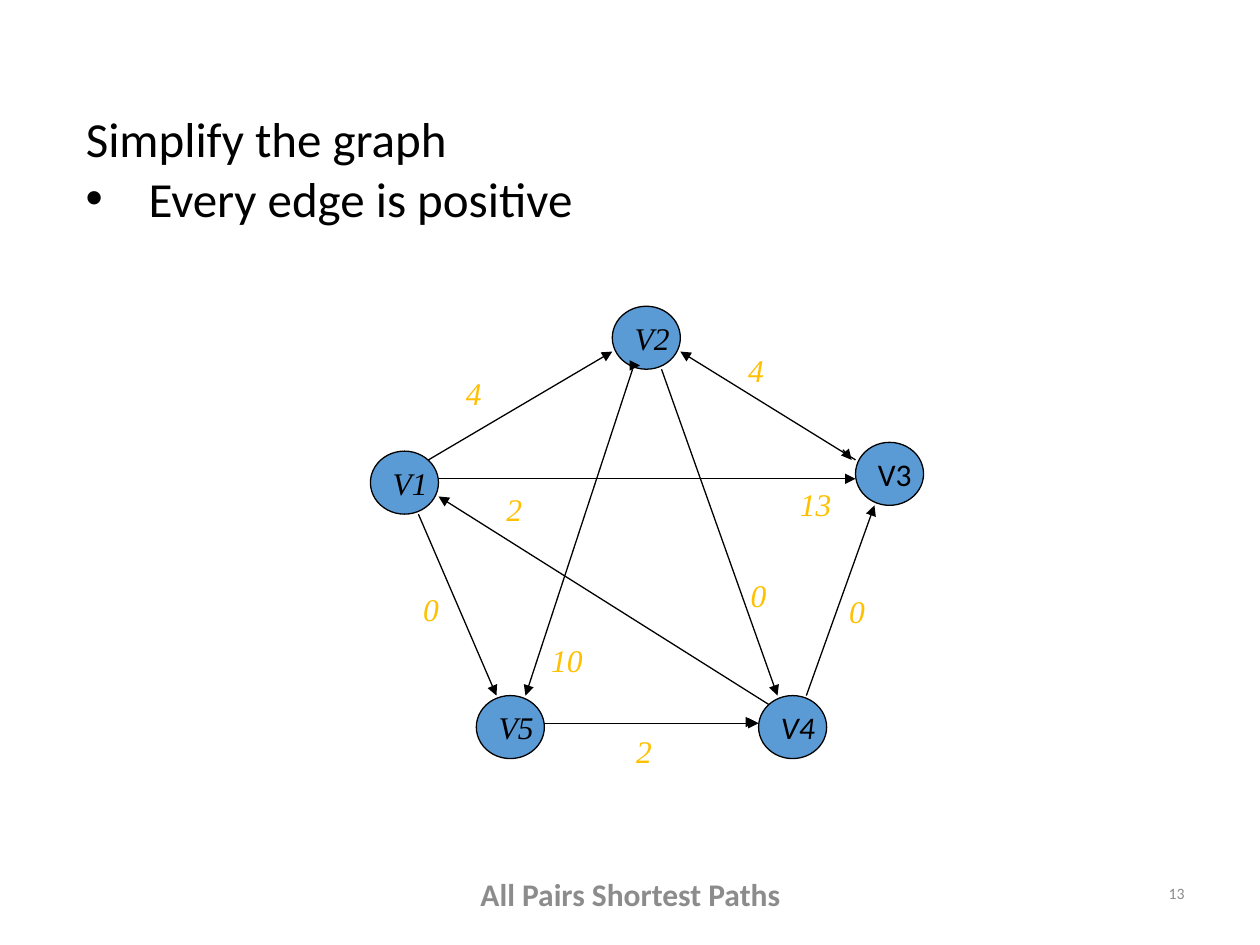
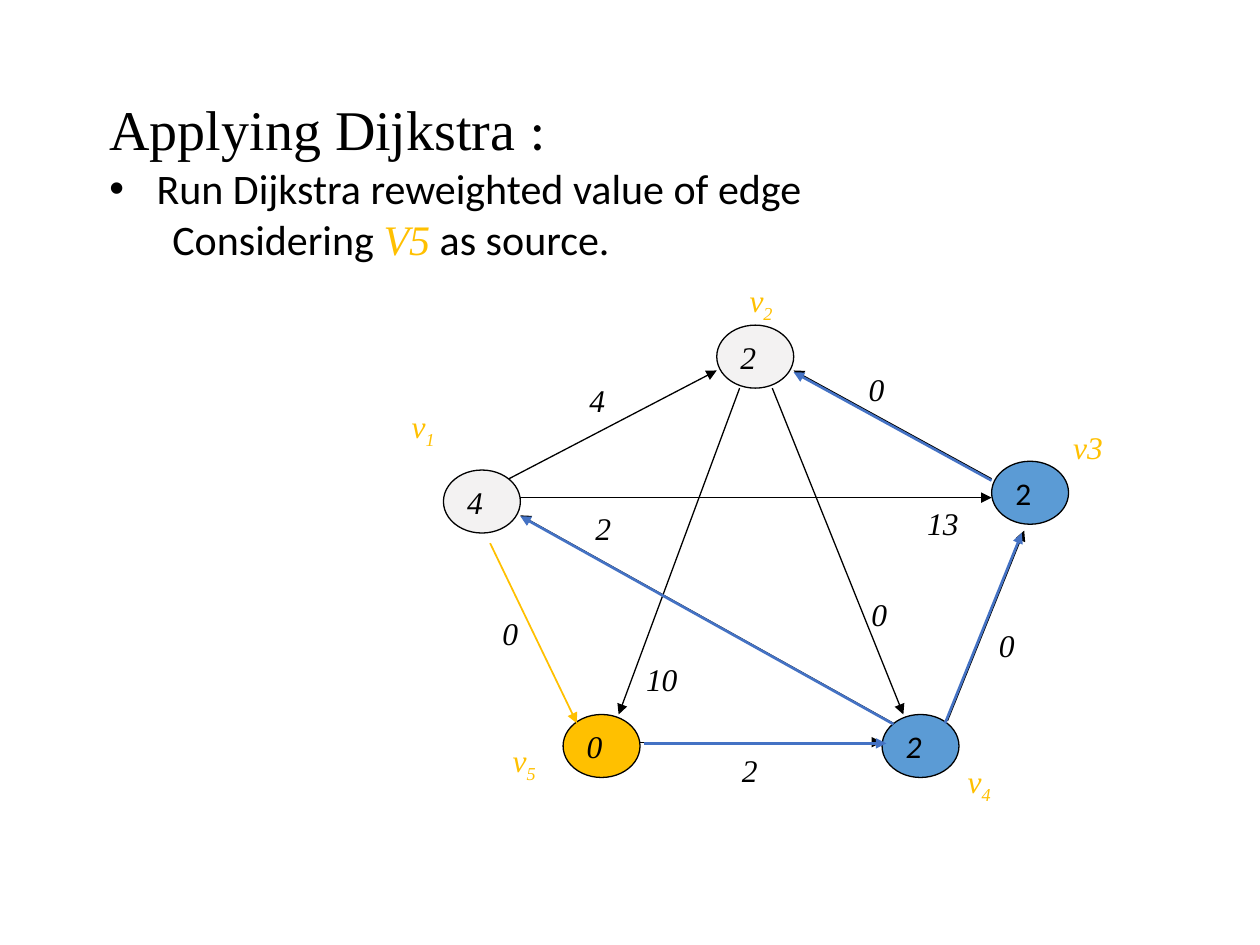
from dataclasses import dataclass, replace
from typing import NamedTuple

from lxml.etree import SubElement as Sub
from pptx import Presentation
from pptx.dml.color import RGBColor as Rgb
from pptx.enum.shapes import MSO_CONNECTOR as Conn, MSO_SHAPE as Shape
from pptx.enum.text import MSO_ANCHOR as Anchor, MSO_AUTO_SIZE as Auto, PP_ALIGN as Align
from pptx.oxml.ns import qn
from pptx.util import Pt

# Shared look
BLACK, GREY, PALE = "000000", "8C8C8C", "F3F2F2"
SKY, BLUE, GOLD = "5B9BD5", "4472C4", "FFC000"
SANS, SERIF = "Calibri", "Times New Roman"
MATH = {"name": SERIF, "size": Pt(18), "italic": True, "color": BLACK}
GILT = MATH | {"color": GOLD}
PLAIN = {"name": SANS, "size": Pt(18), "italic": False, "color": BLACK}
FOOT = PLAIN | {"color": GREY, "bold": True}
PAGE = PLAIN | {"color": GREY, "size": Pt(9)}
HEAD = PLAIN | {"size": Pt(28)}
BODY = PLAIN | {"size": Pt(24)}
DISC_W, DISC_H = 38.9, 36
TAG_H = 35.3

Point = tuple[float, float]


class Run(NamedTuple):
    text: str
    form: dict
    base: int = 0


class Para(NamedTuple):
    runs: list[Run]
    left: float = 0
    bullet: bool = False
    level: int = 0


class Box(NamedTuple):
    x: float
    y: float
    w: float
    h: float


@dataclass(frozen=True)
class Edge:
    start: Point
    end: Point
    weight: str
    label: Point
    color: str = BLACK
    width: float = 0.75


@dataclass(frozen=True)
class Frame:
    left: float
    top: float
    scale: float = 1

    def place(self, at: Point) -> Point:
        return self.left + at[0] * self.scale, self.top + at[1]


@dataclass(frozen=True)
class Node:
    text: str
    fill: str = SKY


# The graph, measured from the top left of its frame
SPOTS = {"v1": (0, 82.8), "v2": (138.2, 0), "v3": (277.2, 77.8),
         "v4": (221.8, 222.5), "v5": (60.5, 222.5)}
FORMS = {"v3": PLAIN, "v4": PLAIN | {"italic": True}}
EDGES = {
    "v1-v2": Edge((33.1, 87.8), (138.2, 25.9), "4", (47.5, 35.3)),
    "v3-v2": Edge((277.2, 87.8), (177.1, 25.9), "4", (208.8, 22.3)),
    "v4-v3": Edge((249.1, 222.5), (288, 113.8), "0", (266.4, 159.8)),
    "v5-v4": Edge((99.4, 238.3), (221.8, 238.3), "2", (144.7, 239.8)),
    "v1-v5": Edge((27.4, 118.8), (72, 222.5), "0", (23, 158.4)),
    "v2-v5": Edge((149.8, 36), (88.6, 222.5), "10", (96.2, 187.9)),
    "v2-v4": Edge((166.3, 36), (232.6, 222.5), "0", (210.2, 150.5)),
    "v4-v1": Edge((227.5, 227.5), (38.9, 108.7), "2", (70.6, 101.5)),
    "v1-v3": Edge((38.9, 98.6), (277.2, 98.6), "13", (238.3, 98.6)),
}


def tint(code: str) -> Rgb:
    return Rgb.from_string(code)


def style(font, form: dict) -> None:
    for key, val in form.items():
        if key == "color":
            font.color.rgb = tint(val)
        else:
            setattr(font, key, val)


def write(frame, paras: list[Para], align=Align.LEFT) -> None:
    for i, item in enumerate(paras):
        para = frame.paragraphs[0] if i == 0 else frame.add_paragraph()
        para.alignment, para.level = align, item.level
        props = para._p.get_or_add_pPr()
        props.set("marL", str(Pt(item.left)))
        props.set("indent", str(Pt(-item.left if item.bullet else 0)))
        if item.bullet:
            Sub(props, qn("a:buFont")).set("typeface", "Arial")
            Sub(props, qn("a:buChar")).set("char", "•")
        for part in item.runs:
            run = para.add_run()
            run.text = part.text
            style(run.font, part.form)
            if part.base:
                run._r.get_or_add_rPr().set("baseline", str(part.base * 1000))


def add_text(slide, box: Box, paras: list[Para], wrap=True,
             align=Align.LEFT, anchor=Anchor.TOP, auto=Auto.SHAPE_TO_FIT_TEXT) -> None:
    frame = slide.shapes.add_textbox(*map(Pt, box)).text_frame
    form = {"word_wrap": wrap, "auto_size": auto, "vertical_anchor": anchor}
    for key, val in form.items():
        setattr(frame, key, val)
    write(frame, paras, align)


def add_title(slide, box: Box, runs: list[Run]) -> None:
    title = slide.shapes.title
    for key, val in zip(("left", "top", "width", "height"), box):
        setattr(title, key, Pt(val))
    frame = title.text_frame
    form = {"word_wrap": True, "auto_size": Auto.NONE, "vertical_anchor": Anchor.TOP}
    for key, val in form.items():
        setattr(frame, key, val)
    write(frame, [Para(runs)])


def add_arrow(slide, start: Point, end: Point, color=BLACK, width=0.75) -> None:
    line = slide.shapes.add_connector(Conn.STRAIGHT, *map(Pt, (*start, *end)))
    line.line.color.rgb = tint(color)
    line.line.width = Pt(width)
    Sub(line.line._get_or_add_ln(), qn("a:tailEnd")).set("type", "triangle")
    Sub(line._element.spPr, qn("a:effectLst"))


def add_disc(slide, at: Point, width: float, node: Node, form: dict) -> None:
    disc = slide.shapes.add_shape(Shape.OVAL, *map(Pt, (*at, width, DISC_H)))
    disc.shadow.inherit = False
    disc.fill.solid()
    disc.fill.fore_color.rgb = tint(node.fill)
    disc.line.color.rgb = tint(BLACK)
    disc.line.width = Pt(0.75)
    disc.text_frame.word_wrap = False
    disc.text_frame.vertical_anchor = Anchor.MIDDLE
    write(disc.text_frame, [Para([Run(node.text, form)])])


def add_graph(slide, frame: Frame, nodes: dict[str, Node],
              edges: dict[str, Edge], form: dict) -> None:
    for key, node in nodes.items():
        add_disc(slide, frame.place(SPOTS[key]), DISC_W * frame.scale,
                 node, FORMS.get(key, MATH))
    for edge in edges.values():
        add_arrow(slide, frame.place(edge.start), frame.place(edge.end),
                  edge.color, edge.width)
    for edge in edges.values():
        width = (22.7 + 9 * len(edge.weight)) * frame.scale
        add_text(slide, Box(*frame.place(edge.label), width, TAG_H),
                 [Para([Run(edge.weight, form)])], wrap=False)


def add_footer(slide, text: str, page: str) -> None:
    rows = ((Box(246.2, 491.8, 228.2, 37.4), text, FOOT, Align.CENTER),
            (Box(516.2, 491.8, 167.8, 37.4), page, PAGE, Align.RIGHT))
    for box, words, form, align in rows:
        add_text(slide, box, [Para([Run(words, form)])], align=align,
                 anchor=Anchor.MIDDLE, auto=Auto.NONE)


def draw_simple(slide) -> None:
    add_title(slide, Box(41.8, 58.3, 588.2, 41.4), [Run("Simplify the graph", HEAD)])
    add_text(slide, Box(41.8, 92.5, 588.2, 41.4),
             [Para([Run("Every edge is positive", HEAD)], 36, True)])
    nodes = {key: Node(key.upper()) for key in SPOTS}
    add_graph(slide, Frame(211.7, 175), nodes, EDGES, GILT)

    # Arrowheads of the edges that run both ways
    for x, y, rise in ((481.7, 257, 5.8), (360.7, 208.8, 0), (427, 412.6, 0)):
        add_arrow(slide, (x, y), (x + 5, y + rise))
    add_footer(slide, "All Pairs Shortest Paths", "13")


def draw_search(slide) -> None:
    big = PLAIN | {"size": Pt(32)}
    add_title(slide, Box(55.4, 50.4, 640.8, 46.2),
              [Run("Applying Dijkstra ", big | {"name": SERIF}), Run(":", big)])
    add_text(slide, Box(55.4, 89.4, 640.8, 65.8), [
        Para([Run("Run Dijkstra reweighted value of edge", BODY)], 27, True),
        Para([Run("Considering ", BODY), Run("V5", GILT | {"size": Pt(24)}),
              Run(" as source.", BODY)], 36, level=1)])

    # Distances from the source
    nodes = {"v1": Node("4", PALE), "v2": Node("2", PALE), "v3": Node("2"),
             "v4": Node("2"), "v5": Node("0", GOLD)}
    moves = {
        "v1-v2": {"label": (67.5, 28.1)},
        "v3-v2": {"weight": "0"},
        "v4-v3": {"start": (254.9, 226.1), "end": (293.7, 117.4), "label": (274.6, 168.5)},
        "v1-v5": {"start": (23.6, 124.6), "end": (67.5, 227.5), "label": (23.6, 161.3),
                  "color": GOLD, "width": 1},
    }
    edges = {key: replace(edge, **moves.get(key, {})) for key, edge in EDGES.items()}
    frame = Frame(253.4, 185.8, 1.13)
    add_graph(slide, frame, nodes, edges, MATH)

    # Vertex names
    names = {"1": Box(228.2, 229, 61.2, 28.8), "2": Box(421.2, 157, 70.6, 28.8),
             "4": Box(545.8, 432, 48.2, 28.8), "5": Box(285.8, 419.8, 56.2, 28.8)}
    for sub, box in names.items():
        add_text(slide, box, [Para([Run("v", GILT), Run(sub, GILT, -25)])])
    add_text(slide, Box(606.2, 241.2, 48.2, 28.8), [Para([Run("v3", GILT)])])

    # Tree of shortest paths, laid just beside the edges
    shifts = {"v5-v4": (2.5, 0.7), "v4-v3": (-1.4, 1.4), "v4-v1": (0, 0.5), "v3-v2": (0, 1)}
    for key, (dx, dy) in shifts.items():
        over = replace(frame, left=frame.left + dx, top=frame.top + dy)
        edge = edges[key]
        add_arrow(slide, over.place(edge.start), over.place(edge.end), BLUE, 1.5)


def main() -> None:
    deck = Presentation()
    deck.slide_width, deck.slide_height = Pt(720), Pt(540)
    for draw in (draw_simple, draw_search):
        draw(deck.slides.add_slide(deck.slide_layouts[5]))
    deck.save("out.pptx")


if __name__ == "__main__":
    main()
